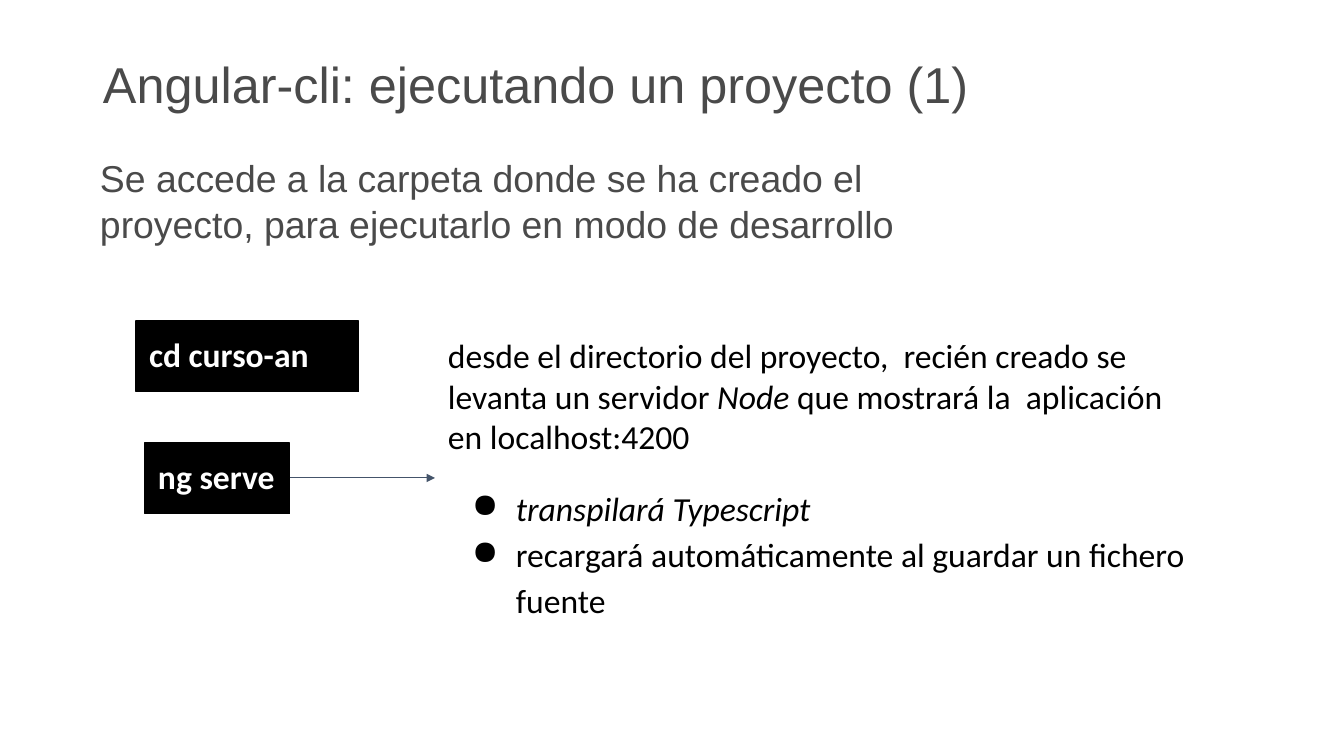
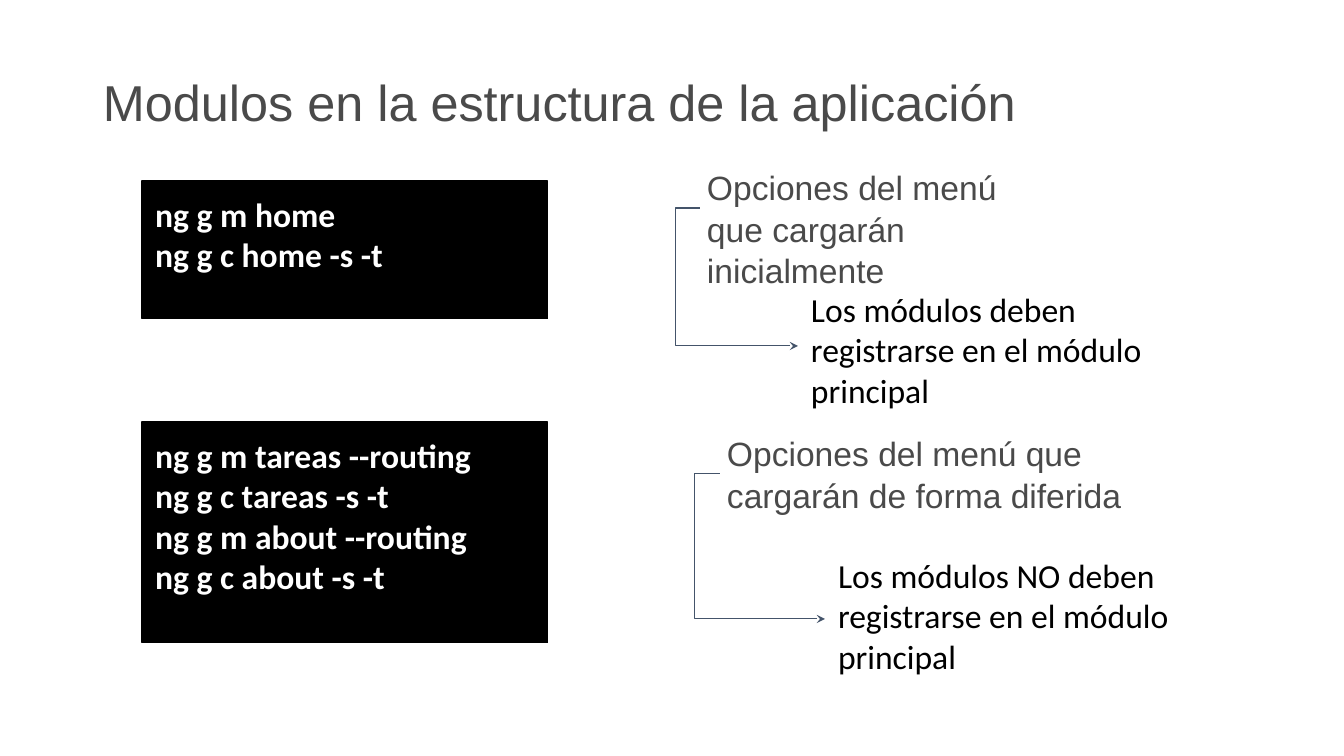
import pptx
import pptx.dml.color
import pptx.enum.shapes
import pptx.enum.text
import pptx.oxml.ns
import pptx.util
from lxml import etree

# Shared look
EMU_PER_PX = 914400 / 100.8
COLORS = {"heading": "4A4A4A", "text": "000000", "code": "FFFFFF",
          "code_box": "000000", "arrow": "44546A"}
MIDDLE = pptx.enum.text.MSO_ANCHOR.MIDDLE
TOP = pptx.enum.text.MSO_ANCHOR.TOP
STYLES = {
    "title": dict(font="Arial", size=36, color="heading", inset=7, anchor=MIDDLE, spacing=1.04),
    "lead": dict(font="Arial", size=26.7, color="heading", inset=7, anchor=TOP, spacing=1.04),
    "menu": dict(font="Arial", size=24, color="heading", inset=7, anchor=TOP, spacing=1.04),
    "code": dict(font="Calibri", size=24, color="code", inset=13, anchor=TOP, spacing=1),
    "note": dict(font="Calibri", size=24, color="text", inset=13, anchor=TOP, spacing=1),
    "details": dict(font="Calibri", size=24, color="text", inset=13, anchor=MIDDLE, spacing=1),
}


def px(*lengths):
    return [pptx.util.Emu(round(length * EMU_PER_PX)) for length in lengths]


def add_text(slide, style_name, box, lines):
    style = STYLES[style_name]
    is_code = style_name == "code"
    if is_code:
        shape = slide.shapes.add_shape(pptx.enum.shapes.MSO_SHAPE.RECTANGLE, *px(*box))
        shape.shadow.inherit = False
        shape.fill.solid()
        shape.fill.fore_color.rgb = pptx.dml.color.RGBColor.from_string(COLORS["code_box"])
        shape.line.color.rgb = pptx.dml.color.RGBColor.from_string(COLORS["code_box"])
        shape.line.width = pptx.util.Pt(0.75)
    else:
        shape = slide.shapes.add_textbox(*px(*box))
    frame = shape.text_frame
    frame.word_wrap = True
    frame.vertical_anchor = style["anchor"]
    inset = px(style["inset"])[0]
    frame.margin_left = frame.margin_right = frame.margin_top = frame.margin_bottom = inset
    frame.text = "\n".join(lines)
    for paragraph in frame.paragraphs:
        paragraph.alignment = pptx.enum.text.PP_ALIGN.LEFT
        paragraph.line_spacing = style["spacing"]
        for run in paragraph.runs:
            run.font.name = style["font"]
            run.font.size = pptx.util.Pt(style["size"])
            run.font.bold = is_code
            run.font.color.rgb = pptx.dml.color.RGBColor.from_string(COLORS[style["color"]])
    return frame


def add_arrow(slide, kind, ends, head, bend=None):
    connector = slide.shapes.add_connector(kind, *px(*ends))
    connector.line.color.rgb = pptx.dml.color.RGBColor.from_string(COLORS["arrow"])
    connector.line.width = pptx.util.Pt(0.75)
    qn = pptx.oxml.ns.qn
    etree.SubElement(connector.line._get_or_add_ln(), qn("a:tailEnd"), type=head)
    properties = connector._element.spPr
    etree.SubElement(properties, qn("a:effectLst"))
    if bend is not None:
        guides = properties.find(qn("a:prstGeom")).find(qn("a:avLst"))
        etree.SubElement(guides, qn("a:gd"), name="adj1", fmla=f"val {bend}")


presentation = pptx.Presentation()
presentation.slide_width, presentation.slide_height = px(1344, 756)
blank_layout = presentation.slide_layouts[6]

# Slide 1: running a project
slide = presentation.slides.add_slide(blank_layout)
add_text(slide, "title", (96, 42, 1152, 80), ["Angular-cli: ejecutando un proyecto (1)"])
add_text(slide, "lead", (93, 146, 930, 123),
         ["Se accede a la carpeta donde se ha creado el proyecto, "
          "para ejecutarlo en modo de desarrollo"])
add_text(slide, "code", (136, 321, 223, 71), ["cd curso-an"])
add_text(slide, "code", (145, 443, 145, 71), ["ng serve"])

details = add_text(slide, "details", (435, 324, 778, 308), [
    "desde el directorio del proyecto,  recién creado se levanta un servidor ",
    "transpilará Typescript",
    "recargará automáticamente al guardar un fichero fuente"])
intro, *bullets = details.paragraphs
for text, italic in (("Node ", True), ("que mostrará la  aplicación en localhost:4200", False)):
    run = intro.add_run()
    run.text = text
    run.font.name = "Calibri"
    run.font.size = pptx.util.Pt(24)
    run.font.italic = italic
    run.font.color.rgb = pptx.dml.color.RGBColor.from_string(COLORS["text"])
for paragraph in bullets:
    paragraph.line_spacing = 1.15
    properties = paragraph._p.get_or_add_pPr()
    left, hanging = px(68, -44)
    properties.set("marL", str(left))
    properties.set("indent", str(hanging))
    etree.SubElement(properties, pptx.oxml.ns.qn("a:buChar"), char="●")
bullets[0].space_before = pptx.util.Pt(18)
bullets[0].runs[0].font.italic = True

add_arrow(slide, pptx.enum.shapes.MSO_CONNECTOR.STRAIGHT, (290, 478, 435, 478), "triangle")

# Slide 2: modules in the application
slide = presentation.slides.add_slide(blank_layout)
add_text(slide, "title", (96, 60, 1152, 80), ["Modulos en la estructura de la aplicación"])
add_text(slide, "code", (142, 181, 406, 138), ["ng g m home", "ng g c home -s -t"])
add_text(slide, "code", (142, 422, 406, 221),
         ["ng g m tareas --routing", "ng g c tareas -s -t",
          "ng g m about --routing", "ng g c about -s -t"])

# Each menu option leads to a note through a bent arrow
menu_notes = [
    ((700, 158, 363, 99), "Opciones del menú que cargarán inicialmente",
     (798, 276, 418, 140), "Los módulos deben registrarse en el módulo principal",
     (700, 208, 798, 346), -25500),
    ((720, 424, 418, 99), "Opciones del menú que cargarán de forma diferida",
     (825, 542, 418, 153), "Los módulos NO deben registrarse en el módulo principal",
     (720, 474, 825, 619), -24000),
]
for menu_box, menu, note_box, note, ends, bend in menu_notes:
    add_text(slide, "menu", menu_box, [menu])
    add_text(slide, "note", note_box, [note])
    add_arrow(slide, pptx.enum.shapes.MSO_CONNECTOR.ELBOW, ends, "stealth", bend)

presentation.save("out.pptx")
